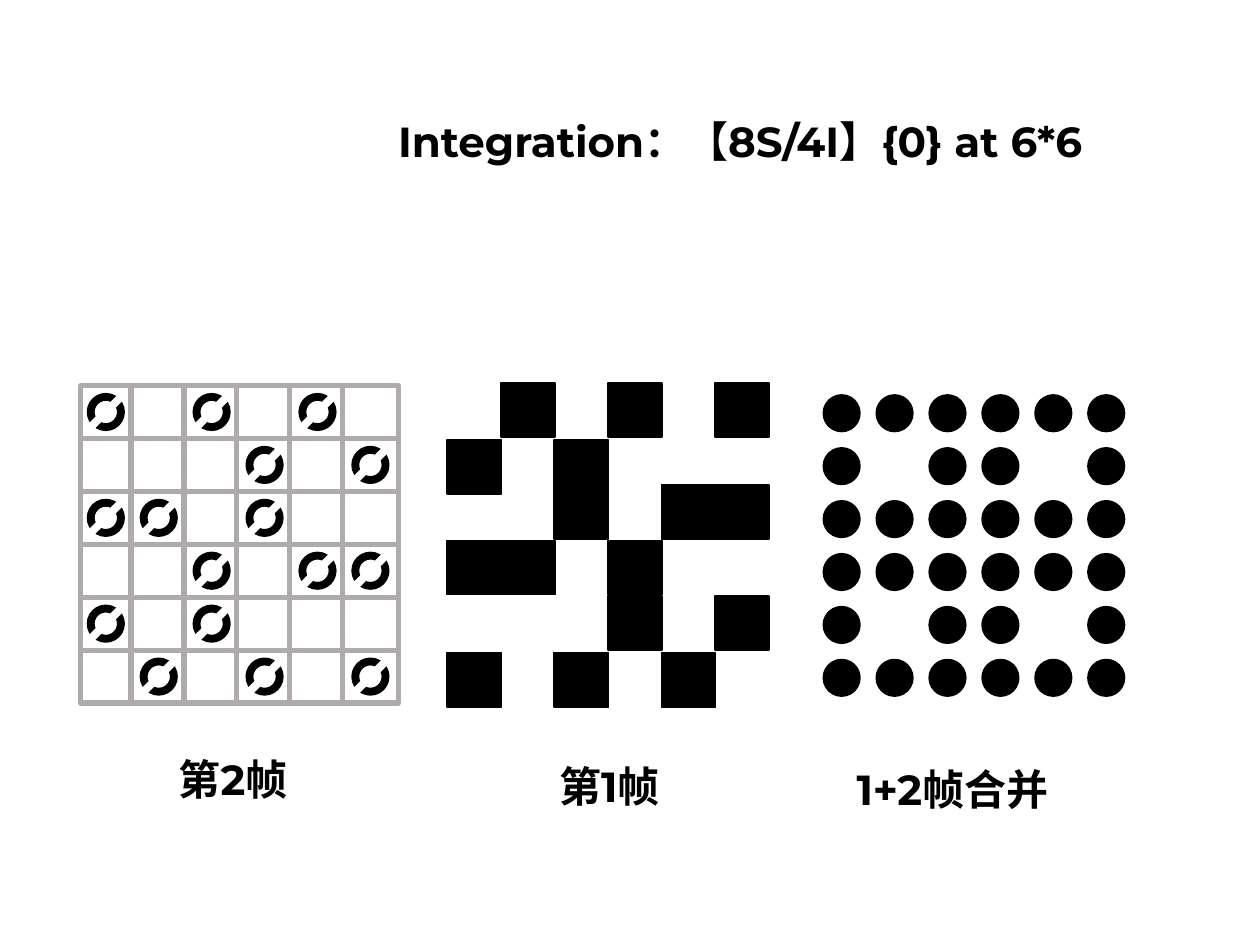
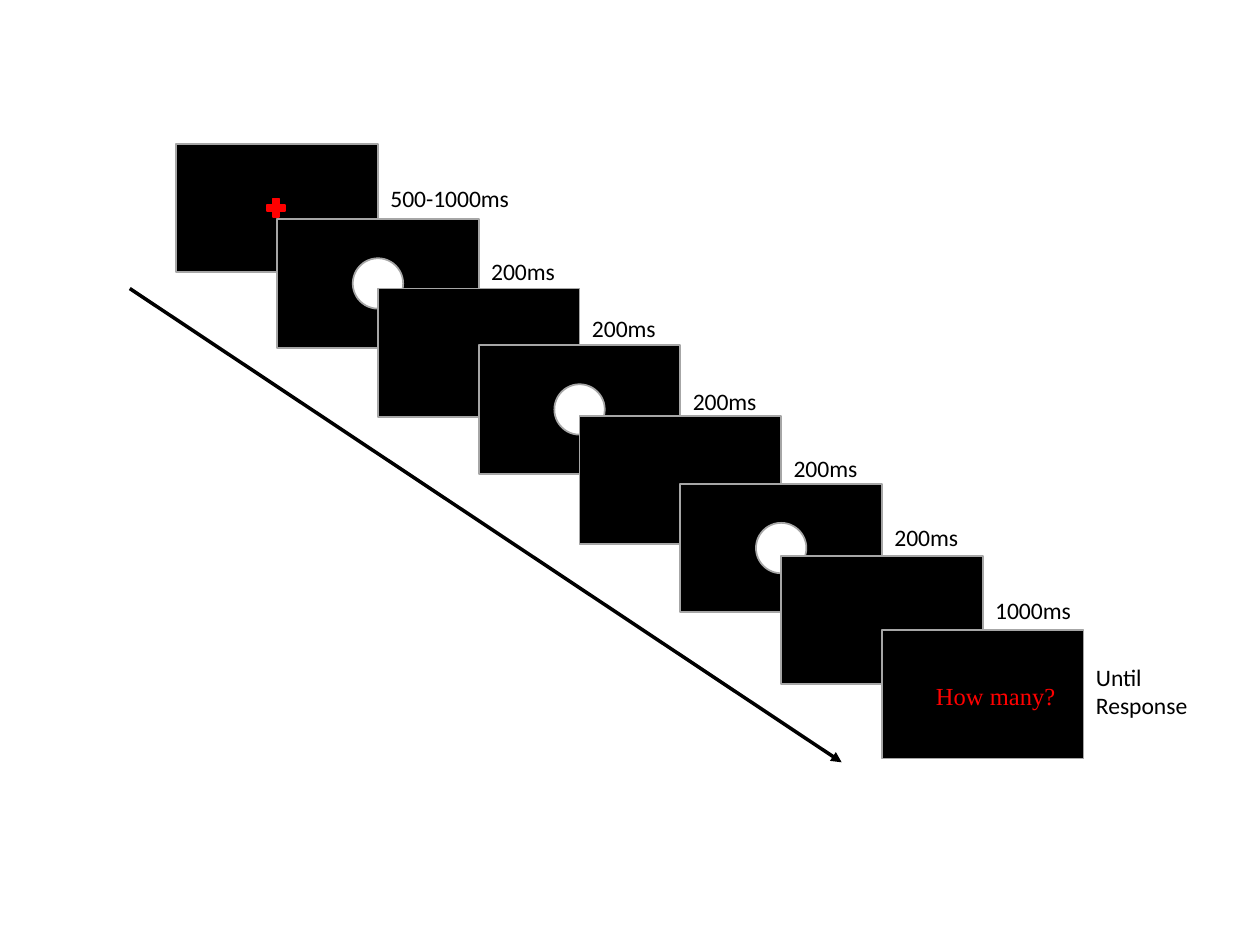
import pptx
import pptx.dml.color
import pptx.enum.shapes
import pptx.enum.text
import pptx.oxml.ns
import pptx.util
from lxml import etree

Inches = pptx.util.Inches
Shape = pptx.enum.shapes.MSO_SHAPE

COLORS = {
    "black": "000000",
    "white": "FFFFFF",
    "grid": "AFABAB",
    "frame": "A6A6A6",
    "red": "FF0000",
}

# Slide 1: each string is one row of a 6 by 6 matrix, "x" marks a filled cell
TITLE = "Integration：【8S/4I】{0} at 6*6"
RING_CELLS = ["x.x.x.", "...x.x", "xx.x..", "..x.xx", "x.x...", ".x.x.x"]
SQUARE_CELLS = [".x.x.x", "x.x...", "..x.xx", "xx.x..", "...x.x", "x.x.x."]
DOT_CELLS = ["xxxxxx", "x.xx.x", "xxxxxx", "xxxxxx", "x.xx.x", "xxxxxx"]
CAPTIONS = [
    ("第2帧", 1.32, 5.93, 1.2),
    ("第1帧", 4.34, 5.99, 1.2),
    ("1+2帧合并", 6.7, 6.01, 2.23),
]
CELLS = 6
PITCH = 0.42
DOT_SIZE = 0.24
GRID_LEFT, GRID_TOP, GRID_SIZE = 0.64, 3.06, 2.52
SQUARE_TOPS = [3.04, 3.49, 3.85, 4.29, 4.73, 5.18]

# Slide 2: screen top, stimulus, duration, duration top
SCREENS = [
    (1.14, "cross", "500-1000ms", 1.41),
    (1.74, "disc", "200ms", 1.99),
    (2.29, None, "200ms", 2.44),
    (2.74, "disc", "200ms", 3.02),
    (3.3, None, "200ms", 3.55),
    (3.84, "disc", "200ms", 4.1),
    (4.41, None, "1000ms", 4.68),
    (5.0, "question", "Until Response", 5.21),
]
QUESTION = "How many?"
SCREEN_LEFT, SCREEN_STEP = 1.4, 0.8
SCREEN_WIDTH, SCREEN_HEIGHT = 1.6, 1.02


def rgb(name):
    return pptx.dml.color.RGBColor.from_string(COLORS[name])


def write(box, text, size, font="Calibri", color="black", bold=False):
    frame = box.text_frame
    frame.word_wrap = True
    frame.vertical_anchor = pptx.enum.text.MSO_ANCHOR.TOP
    para = frame.paragraphs[0]
    para.alignment = pptx.enum.text.PP_ALIGN.LEFT
    span = para.add_run()
    span.text = text
    span.font.size = pptx.util.Pt(size)
    span.font.name = font
    span.font.bold = bold
    span.font.color.rgb = rgb(color)


def add_text(shapes, text, left, top, width, height, **style):
    box = shapes.add_textbox(Inches(left), Inches(top), Inches(width), Inches(height))
    write(box, text, **style)


def add_figure(shapes, kind, left, top, width, height, fill, line, weight=1):
    figure = shapes.add_shape(kind, Inches(left), Inches(top), Inches(width), Inches(height))
    figure.shadow.inherit = False
    if fill:
        figure.fill.solid()
        figure.fill.fore_color.rgb = rgb(fill)
    else:
        figure.fill.background()
    figure.line.color.rgb = rgb(line)
    figure.line.width = pptx.util.Pt(weight)


def add_line(shapes, start, end, color, weight, arrow=False):
    points = [Inches(value) for value in (*start, *end)]
    line = shapes.add_connector(pptx.enum.shapes.MSO_CONNECTOR.STRAIGHT, *points)
    line.line.color.rgb = rgb(color)
    line.line.width = pptx.util.Pt(weight)
    properties = line._element.spPr
    if arrow:
        outline = properties.find(pptx.oxml.ns.qn("a:ln"))
        etree.SubElement(outline, pptx.oxml.ns.qn("a:tailEnd"), type="triangle")
    etree.SubElement(properties, pptx.oxml.ns.qn("a:effectLst"))


def marked_cells(matrix):
    for row, cells in enumerate(matrix):
        for column, cell in enumerate(cells):
            if cell == "x":
                yield row, column


def add_grid(shapes):
    right, bottom = GRID_LEFT + GRID_SIZE, GRID_TOP + GRID_SIZE
    add_figure(shapes, Shape.RECTANGLE, GRID_LEFT, GRID_TOP, GRID_SIZE, GRID_SIZE,
               "white", "grid", 3)
    for index in range(1, CELLS):
        x = GRID_LEFT + index * PITCH - 0.02
        y = GRID_TOP + index * PITCH
        add_line(shapes, (x, GRID_TOP), (x, bottom), "grid", 3)
        add_line(shapes, (GRID_LEFT, y), (right, y), "grid", 3)


def add_ring(shapes, left, top):
    """Draw a ring cut by a white diagonal."""
    parts = shapes.add_group_shape().shapes
    add_figure(parts, Shape.OVAL, left, top, DOT_SIZE, DOT_SIZE, None, "black", 4.5)
    add_line(parts, (left + DOT_SIZE, top), (left, top + DOT_SIZE), "white", 4.5)


def build_integration(deck):
    page = deck.slides.add_slide(deck.slide_layouts[5])
    heading = {"size": 24, "font": "Montserrat", "bold": True}
    title = page.shapes.title
    title.left, title.top = Inches(3.06), Inches(0.87)
    title.width, title.height = Inches(6.59), Inches(0.5)
    write(title, TITLE, **heading)

    add_grid(page.shapes)
    for row, column in marked_cells(RING_CELLS):
        add_ring(page.shapes, 0.72 + column * PITCH, 3.15 + row * PITCH)
    for row, column in marked_cells(SQUARE_CELLS):
        add_figure(page.shapes, Shape.RECTANGLE, 3.55 + column * 0.425, SQUARE_TOPS[row],
                   0.43, 0.43, "black", "black")
    for row, column in marked_cells(DOT_CELLS):
        add_figure(page.shapes, Shape.OVAL, 6.56 + column * PITCH, 3.16 + row * PITCH,
                   DOT_SIZE, DOT_SIZE, "black", "black", 4.5)
    for text, left, top, width in CAPTIONS:
        add_text(page.shapes, text, left, top, width, 0.5, **heading)


def build_trial(deck):
    page = deck.slides.add_slide(deck.slide_layouts[6])
    shapes = page.shapes
    add_line(shapes, (1.03, 2.29), (6.68, 6.05), "black", 2, arrow=True)
    for index, (top, stimulus, duration, duration_top) in enumerate(SCREENS):
        left = SCREEN_LEFT + index * SCREEN_STEP
        add_figure(shapes, Shape.RECTANGLE, left, top, SCREEN_WIDTH, SCREEN_HEIGHT,
                   "black", "frame")
        if stimulus == "cross":
            add_figure(shapes, Shape.MATH_PLUS, left + 0.69, top + 0.41, 0.2, 0.2, "red", "red")
        elif stimulus == "disc":
            add_figure(shapes, Shape.OVAL, left + 0.6, top + 0.31, 0.4, 0.4, "white", "frame")
        elif stimulus == "question":
            add_text(shapes, QUESTION, left + 0.33, top + 0.36, 1.31, 0.57,
                     size=14, font="Times New Roman", color="red")
        last = index == len(SCREENS) - 1
        add_text(shapes, duration, left + SCREEN_WIDTH, duration_top,
                 1.04 if last else 1.2, 0.56 if last else 0.33, size=13.5)


def main():
    deck = pptx.Presentation()
    deck.slide_width, deck.slide_height = Inches(10), Inches(7.5)
    build_integration(deck)
    build_trial(deck)
    deck.save("out.pptx")


if __name__ == "__main__":
    main()
